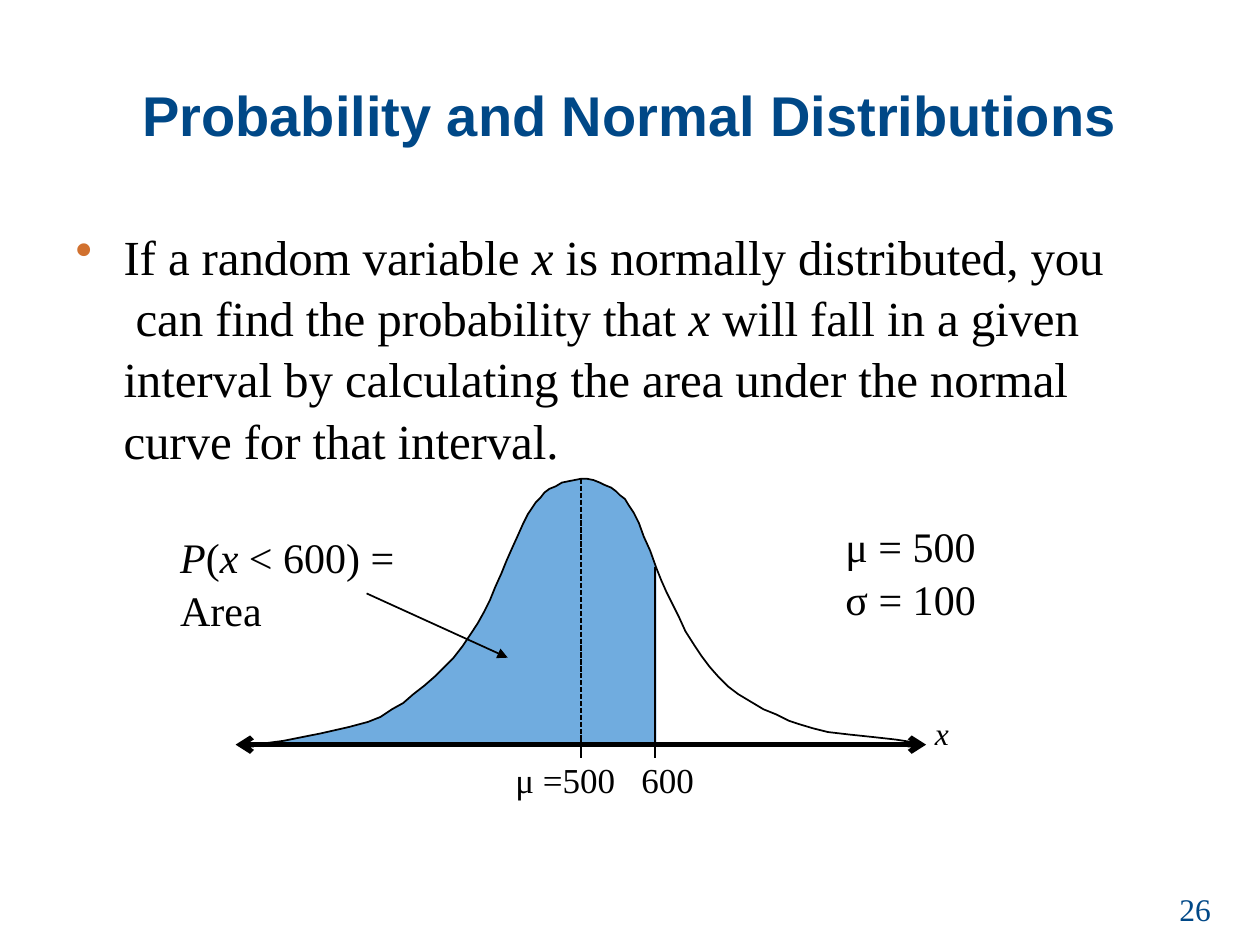
from dataclasses import dataclass

from lxml.etree import SubElement
from pptx import Presentation
from pptx.dml.color import RGBColor
from pptx.enum.dml import MSO_LINE
from pptx.enum.shapes import MSO_CONNECTOR
from pptx.oxml.ns import qn
from pptx.util import Emu, Inches, Pt

COLUMNS, ROWS = 100, 75
CELL = Inches(0.1)


@dataclass(frozen=True)
class Theme:
    heading_font: str = "Arial"
    body_font: str = "Times New Roman"
    navy: RGBColor = RGBColor(0x00, 0x48, 0x87)
    black: RGBColor = RGBColor(0, 0, 0)
    area: RGBColor = RGBColor(0x70, 0xAC, 0xDF)
    bullet: str = "D1712F"
    title: int = 32
    body: int = 28
    formula: int = 24
    tick: int = 20
    small: int = 18
    thin: float = 1
    thick: float = 3


THEME = Theme()


@dataclass(frozen=True)
class Span:
    text: str
    italic: bool = False


@dataclass(frozen=True)
class TextBlock:
    column: float
    row: float
    width: float
    height: float
    size: int
    paragraphs: tuple[tuple[Span, ...], ...]
    color: RGBColor = THEME.black
    font: str = THEME.body_font
    bold: bool = False
    line_spacing: float | Pt = 1.05
    tracking: int = 0
    bulleted: bool = False
    tab: float = 0


@dataclass(frozen=True)
class Rule:
    start: tuple[float, float]
    end: tuple[float, float]
    width: float = THEME.thin
    dashed: bool = False
    head: str = ""
    tail: str = ""


AXIS, PEAK, BOUND = 59.1, 46.1, 52.1
TICK_TOP, TICK_BOTTOM = 58.3, 60.2
CURVE_TOP = 38.0

CURVE_TO_BOUND = (
    (20.2, 59.1), (22.5, 58.8), (25.5, 58.2), (27.7, 57.7), (29.2, 57.3),
    (30.2, 56.9), (31.1, 56.3), (32.0, 55.8), (32.8, 55.1), (33.7, 54.4),
    (34.5, 53.7), (35.3, 52.9), (36.0, 52.2), (36.7, 51.3), (37.3, 50.4),
    (37.9, 49.5), (38.4, 48.6), (38.9, 47.6), (39.3, 46.6), (39.8, 45.5),
    (40.2, 44.5), (40.6, 43.6), (41.1, 42.5), (41.5, 41.6), (41.9, 40.8),
    (42.5, 39.9), (42.9, 39.5), (43.2, 39.1), (43.6, 38.8), (44.1, 38.6),
    (44.6, 38.3), (45.1, 38.2), (45.6, 38.1), (PEAK, CURVE_TOP),
    (46.6, 38.0), (47.1, 38.1), (47.6, 38.3), (48.0, 38.5), (48.5, 38.7),
    (48.9, 39.0), (49.2, 39.3), (49.6, 39.6), (49.9, 40.1), (50.3, 40.7),
    (50.7, 41.5), (51.1, 42.6), (51.6, 43.7), (BOUND, 45.1),
)
CURVE_BEYOND = (
    (52.5, 46.1), (52.9, 47.0), (53.4, 48.0), (53.9, 49.0), (54.4, 50.1),
    (55.1, 51.2), (55.7, 52.1), (56.3, 52.9), (57.0, 53.7), (57.8, 54.5),
    (58.6, 55.1), (59.6, 55.7), (60.6, 56.3), (61.6, 56.7), (62.6, 57.2),
    (63.5, 57.5), (64.5, 57.8), (65.7, 58.1), (67.4, 58.3), (69.3, 58.5),
    (71.1, 58.7), (72.4, 58.9),
)

RULES = (
    Rule((52, 45), (52, AXIS)),
    Rule((PEAK, CURVE_TOP), (PEAK, 58.8), dashed=True),
    Rule((29.1, 47.1), (40.3, 52.2), tail="triangle"),
    Rule((52, TICK_TOP), (52, TICK_BOTTOM)),
    Rule((PEAK, TICK_TOP), (PEAK, TICK_BOTTOM)),
    Rule((18.7, AXIS), (73.5, AXIS), THEME.thick, head="arrow", tail="arrow"),
)

TEXTS = (
    TextBlock(11.3, 6.3, 79, 5.6, THEME.title,
              ((Span("Probability and Normal Distributions"),),),
              THEME.navy, THEME.heading_font, bold=True, line_spacing=1.0),
    TextBlock(5.9, 17.7, 82.2, 18.9, THEME.body,
              ((Span("If a random variable "), Span("x ", True),
                Span("is normally distributed, you  can find the probability that "),
                Span("x ", True),
                Span("will fall in a given interval by calculating the area "
                     "under the normal curve for that interval.")),),
              line_spacing=1.04, tracking=-5, bulleted=True),
    TextBlock(14.3, 41.9, 23, 8.3, THEME.formula,
              ((Span("P", True), Span("("), Span("x ", True),
                Span("< 600) = Area")),)),
    TextBlock(67.1, 41, 11.5, 8.3, THEME.formula,
              ((Span("μ = 500"),), (Span("σ = 100"),))),
    TextBlock(40.9, 59.9, 15.5, 3.6, THEME.tick,
              ((Span("μ =500\t600"),),), tab=10),
    TextBlock(74.2, 56.4, 2, 3.3, THEME.small, ((Span("x", True),),)),
    TextBlock(93.6, 70.7, 4, 3, THEME.small, ((Span("26"),),),
              THEME.navy, line_spacing=Pt(20.6)),
)


def cells(count: float) -> Emu:
    return Emu(round(count * CELL))


def add_bullet(para) -> None:
    properties = para._p.get_or_add_pPr()
    properties.set("marL", str(cells(3.9)))
    properties.set("indent", str(-cells(3.8)))
    color = SubElement(properties, qn("a:buClr"))
    SubElement(color, qn("a:srgbClr"), val=THEME.bullet)
    SubElement(properties, qn("a:buChar"), char="•")


def add_tab(para, position: float) -> None:
    tabs = SubElement(para._p.get_or_add_pPr(), qn("a:tabLst"))
    SubElement(tabs, qn("a:tab"), pos=str(cells(position)), algn="l")


def add_text(page, block: TextBlock) -> None:
    box = page.shapes.add_textbox(cells(block.column), cells(block.row),
                                  cells(block.width), cells(block.height))
    frame = box.text_frame
    frame.word_wrap = True
    frame.margin_left = frame.margin_right = frame.margin_bottom = 0
    frame.margin_top = Inches(0.01)
    for index, spans in enumerate(block.paragraphs):
        para = frame.add_paragraph() if index else frame.paragraphs[0]
        if block.bulleted:
            add_bullet(para)
        if block.tab:
            add_tab(para, block.tab)
        para.line_spacing = block.line_spacing
        for span in spans:
            run = para.add_run()
            run.text = span.text
            run.font.name = block.font
            run.font.size = Pt(block.size)
            run.font.bold = block.bold
            run.font.italic = span.italic
            run.font.color.rgb = block.color
            run._r.get_or_add_rPr().set("spc", str(block.tracking))


def add_outline(page, points, closed: bool):
    scaled = [(cells(column), cells(row)) for column, row in points]
    builder = page.shapes.build_freeform(*scaled[0])
    builder.add_line_segments(scaled[1:], close=closed)
    shape = builder.convert_to_shape()
    shape.shadow.inherit = False
    return shape


def add_rule(page, rule: Rule) -> None:
    ends = [cells(value) for value in rule.start + rule.end]
    connector = page.shapes.add_connector(MSO_CONNECTOR.STRAIGHT, *ends)
    connector.line.color.rgb = THEME.black
    connector.line.width = Pt(rule.width)
    if rule.dashed:
        connector.line.dash_style = MSO_LINE.SQUARE_DOT
    outline = connector.line._get_or_add_ln()
    for tag, kind in (("a:headEnd", rule.head), ("a:tailEnd", rule.tail)):
        if kind:
            SubElement(outline, qn(tag), type=kind)
    SubElement(connector._element.spPr, qn("a:effectLst"))


def main() -> None:
    deck = Presentation()
    deck.slide_width, deck.slide_height = cells(COLUMNS), cells(ROWS)
    page = deck.slides.add_slide(deck.slide_layouts[6])
    area = add_outline(page, CURVE_TO_BOUND + ((BOUND, AXIS),), closed=True)
    area.fill.solid()
    area.fill.fore_color.rgb = THEME.area
    area.line.fill.background()
    curve = add_outline(page, CURVE_TO_BOUND + CURVE_BEYOND, closed=False)
    curve.fill.background()
    curve.line.color.rgb = THEME.black
    curve.line.width = Pt(THEME.thin)
    for rule in RULES:
        add_rule(page, rule)
    for block in TEXTS:
        add_text(page, block)
    deck.save("out.pptx")


if __name__ == "__main__":
    main()
